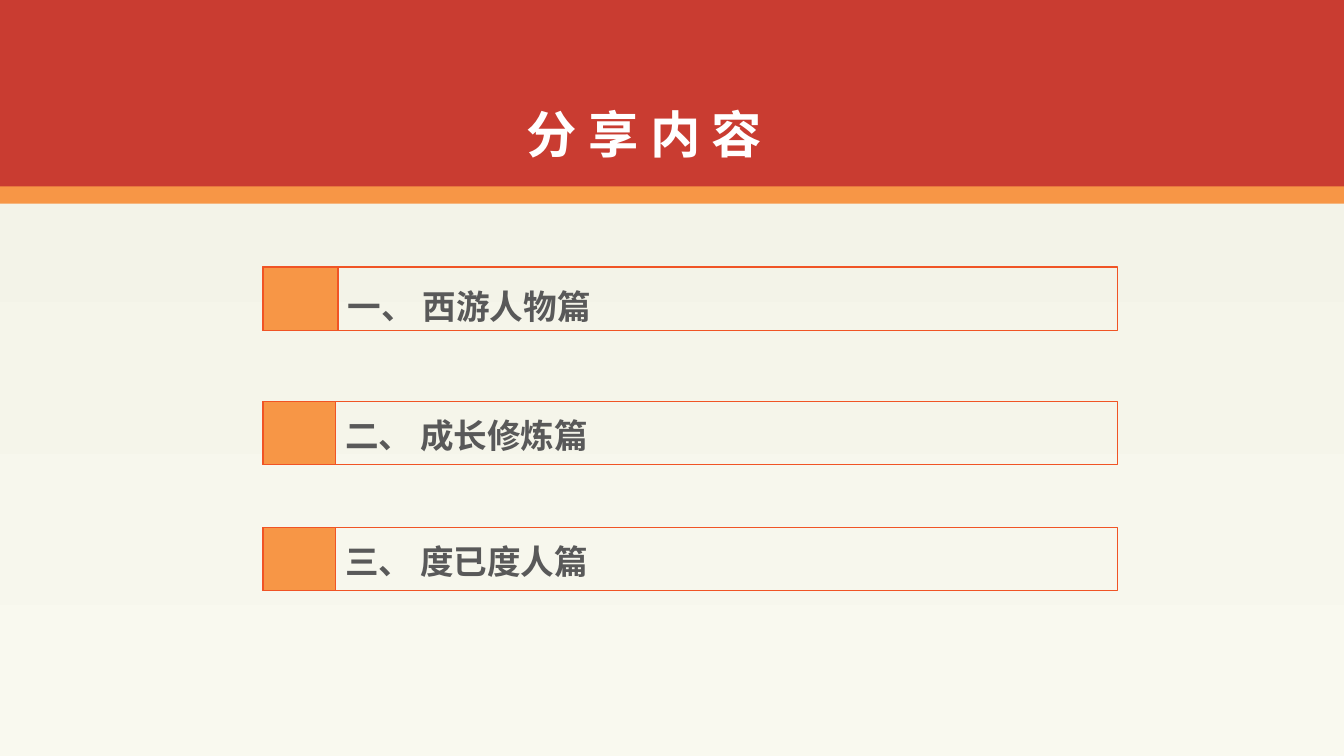
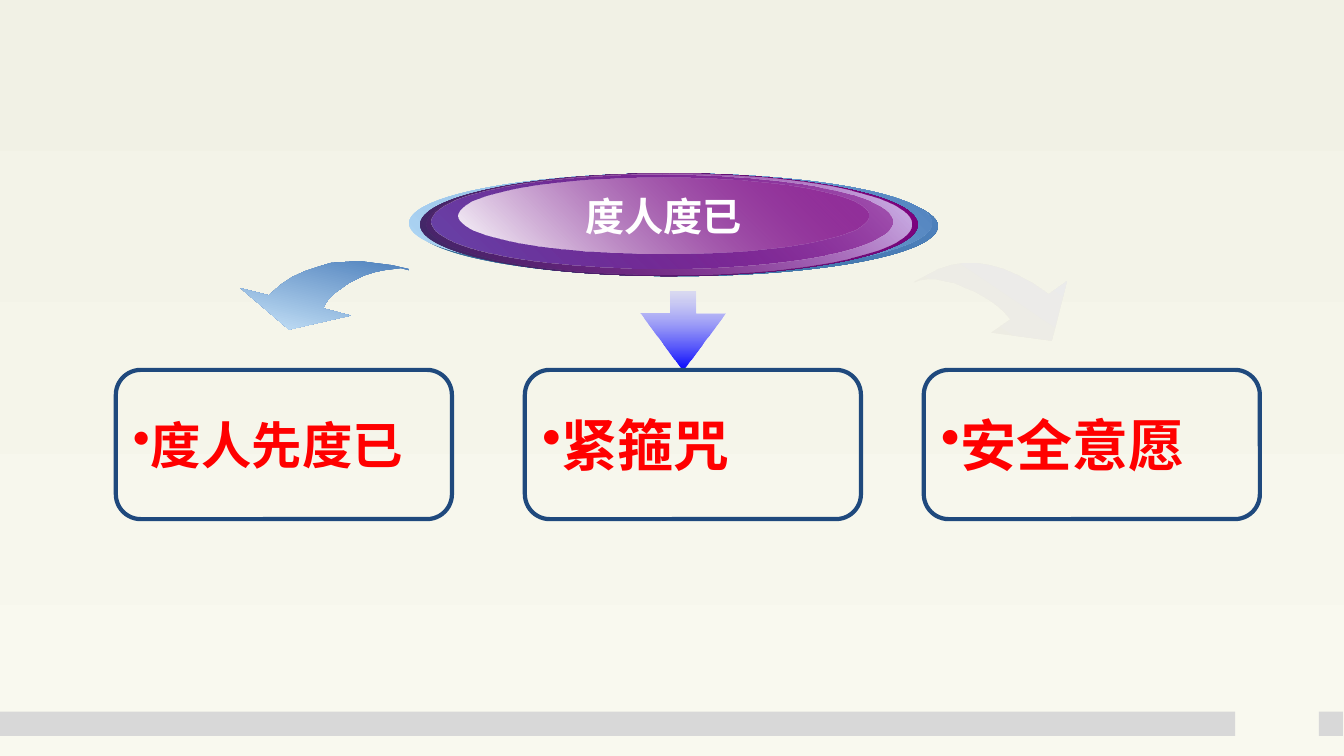
from lxml.etree import SubElement
from pptx import Presentation
from pptx.dml.color import RGBColor
from pptx.enum.shapes import MSO_SHAPE as Shape
from pptx.enum.text import MSO_ANCHOR as Anchor, PP_ALIGN as Align
from pptx.oxml.ns import qn
from pptx.util import Pt

WIDTH, HEIGHT = 960.5, 540
FONT = "Noto Sans CJK SC"
RED, ORANGE, ROW_EDGE, GREY = "C93C31", "F79646", "F05425", "D8D8D8"
LABEL, WHITE, NAVY, BRIGHT_RED = "595959", "FFFFFF", "1F497D", "FF0000"
BACKDROP = ("F1F1E5", "F9F9EF", 90)

LEFT_ARROW = [
    (292.3, 192.2), (280.1, 189.4), (267.8, 187.9), (257, 186.5), (246.2, 187.2),
    (236.2, 187.9), (226.8, 190.8), (218.2, 193.7), (208.8, 198), (200.2, 203.8),
    (192.2, 211), (172.1, 205.9), (206.6, 235.4), (250.6, 225.4), (231.1, 220.3),
    (232.6, 216.7), (235.4, 213.1), (239, 209.5), (244.1, 205.9), (249.1, 202.3),
    (254.9, 199.4), (260.6, 196.6), (267.8, 194.4), (274.3, 193), (280.8, 192.2),
    (286.6, 191.5), (292.3, 193),
]
RIGHT_ARROW = [
    (653, 201.6), (662.4, 196.6), (671, 192.2), (679.7, 189.4), (689, 187.9),
    (697.7, 187.9), (707, 189.4), (717.1, 192.2), (727.2, 196.6), (738, 202.3),
    (749.5, 210.2), (762.5, 200.9), (751.7, 243.4), (708.5, 237.6), (722.2, 228.2),
    (718.6, 223.9), (714.2, 219.6), (708.5, 215.3), (702.7, 211.7), (696.2, 208.1),
    (689, 205.2), (682.6, 202.3), (675.4, 200.9), (668.9, 199.4), (663.1, 199.4),
    (657.4, 200.2), (653.8, 201.6),
]


def rgb(value):
    return RGBColor.from_string(value)


def apply(target, values):
    for name, value in values.items():
        setattr(target, name, value)


def shade(fill, start, end, angle):
    fill.gradient()
    fill.gradient_angle = (360 - angle) % 360
    for stop, colour in zip(fill.gradient_stops, (start, end)):
        stop.color.rgb = rgb(colour)


class Deck:
    def __init__(self):
        self.prs = Presentation()
        apply(self.prs, {"slide_width": Pt(WIDTH), "slide_height": Pt(HEIGHT)})
        shade(self.prs.slide_master.background.fill, *BACKDROP)
        self.slide = None

    def new_slide(self):
        self.slide = self.prs.slides.add_slide(self.prs.slide_layouts[6])

    def paint(self, shape, fill=None, line=None, weight=1, alphas=(None, None)):
        shape.shadow.inherit = False
        if isinstance(fill, tuple):
            shade(shape.fill, *fill)
            stops = shape.element.spPr.findall(".//" + qn("a:srgbClr"))
            for stop, alpha in zip(stops, alphas):
                if alpha is not None:
                    SubElement(stop, qn("a:alpha"), val=str(alpha * 1000))
        elif fill:
            shape.fill.solid()
            shape.fill.fore_color.rgb = rgb(fill)
        else:
            shape.fill.background()
        if line:
            shape.line.color.rgb = rgb(line)
            shape.line.width = Pt(weight)
        else:
            shape.line.fill.background()
        return shape

    def shape(self, kind, box, adjust=(), **paint):
        shape = self.slide.shapes.add_shape(kind, *map(Pt, box))
        for index, value in enumerate(adjust):
            shape.adjustments[index] = value
        return self.paint(shape, **paint)

    def outline(self, points, fill):
        start, *rest = [(Pt(x), Pt(y)) for x, y in points]
        builder = self.slide.shapes.build_freeform(*start, scale=1)
        builder.add_line_segments(rest, close=True)
        self.paint(builder.convert_to_shape(), fill)

    def caption(self, shape, text, size, colour, align=Align.LEFT, anchor=Anchor.MIDDLE,
                wrap=True, spacing=None, bullet=None):
        frame = shape.text_frame
        apply(frame, {"word_wrap": wrap, "vertical_anchor": anchor,
                      "margin_left": Pt(7.2), "margin_right": Pt(7.2),
                      "margin_top": Pt(3.6), "margin_bottom": Pt(3.6)})
        paragraph = frame.paragraphs[0]
        apply(paragraph, {"alignment": align, "line_spacing": spacing})
        if bullet:
            props = paragraph._p.get_or_add_pPr()
            tint = SubElement(props, qn("a:buClr"))
            SubElement(tint, qn("a:srgbClr"), val=colour)
            SubElement(props, qn("a:buChar"), char=bullet)
        run = paragraph.add_run()
        run.text = text
        apply(run.font, {"size": Pt(size), "bold": True, "name": FONT})
        run.font.color.rgb = rgb(colour)
        SubElement(run._r.get_or_add_rPr(), qn("a:ea"), typeface=FONT)

    def text(self, box, text, size, colour, **style):
        self.caption(self.slide.shapes.add_textbox(*map(Pt, box)), text, size, colour, **style)

    def title_band(self, title):
        self.shape(Shape.RECTANGLE, (0, 128.2, WIDTH, 17.3), fill=ORANGE)
        self.shape(Shape.RECTANGLE, (0, 0, WIDTH, 133.2), fill=RED)
        self.text((272.2, 56.9, 376.6, 63.4), title, 36, WHITE, align=Align.CENTER,
                  anchor=Anchor.BOTTOM, spacing=1.3)

    def footer(self):
        for left, width in ((0, 882.7), (942.5, 17.3)):
            self.shape(Shape.RECTANGLE, (left, 508.3, width, 17.3), fill=GREY)

    def agenda_row(self, label, top, marker_width, label_drop):
        left, height = 187.9, 45.4
        for width, fill in ((610.6, None), (marker_width, ORANGE)):
            self.shape(Shape.RECTANGLE, (left, top, width, height), fill=fill, line=ROW_EDGE)
        self.text((left + marker_width, top + label_drop, 550, 36), label, 24, LABEL)

    def card(self, left, text, size):
        card = self.shape(Shape.ROUNDED_RECTANGLE, (left, 264.2, 240.2, 106.6), (0.167,),
                          line=NAVY, weight=3)
        self.caption(card, text, size, BRIGHT_RED, bullet="•")


def agenda(deck):
    deck.new_slide()
    for row in (("一、 西游人物篇", 190.8, 53.7, 10),
                ("二、 成长修炼篇", 286.6, 51.8, 6.5),
                ("三、 度已度人篇", 376.6, 51.8, 6.5)):
        deck.agenda_row(*row)
    deck.title_band("分 享 内 容")


def helping_others(deck):
    deck.new_slide()
    deck.footer()
    for box, start, end, alphas in (
            ((296.6, 126, 373.7, 71.3), "326A95", "4F81BD", (None, None)),
            ((292.3, 123.8, 373.7, 71.3), "B1D8F6", "4F81BD", (None, None)),
            ((300.2, 123.8, 355.7, 73.4), "3E2A65", "800080", (None, None)),
            ((304.6, 123.8, 347, 72), "800080", "D4C5F2", (0, None)),
            ((308.2, 124.6, 329.8, 67), "6947AD", "800080", (None, 48)),
            ((327.6, 126.7, 293, 54.7), "FFFFFF", "800080", (None, 38))):
        disc = deck.shape(Shape.OVAL, box, fill=(start, end, 315), alphas=alphas)
    deck.caption(disc, "度人度已", 28, WHITE, align=Align.CENTER, wrap=False)
    deck.outline(LEFT_ARROW, ("4F81BD", "C7E3F8", 104))
    deck.outline(RIGHT_ARROW, ("EEECE1", "EBEBEB", 304))
    deck.shape(Shape.DOWN_ARROW, (457.9, 208.1, 60.5, 56.9), (0.3, 0.724),
               fill=("B5B5FF", "0000FF", 90), alphas=(40, None))
    for card in ((82.8, "度人先度已", 36), (375.1, "紧箍咒", 40), (660.2, "安全意愿", 40)):
        deck.card(*card)


def main():
    deck = Deck()
    agenda(deck)
    helping_others(deck)
    deck.prs.save("out.pptx")


if __name__ == "__main__":
    main()
